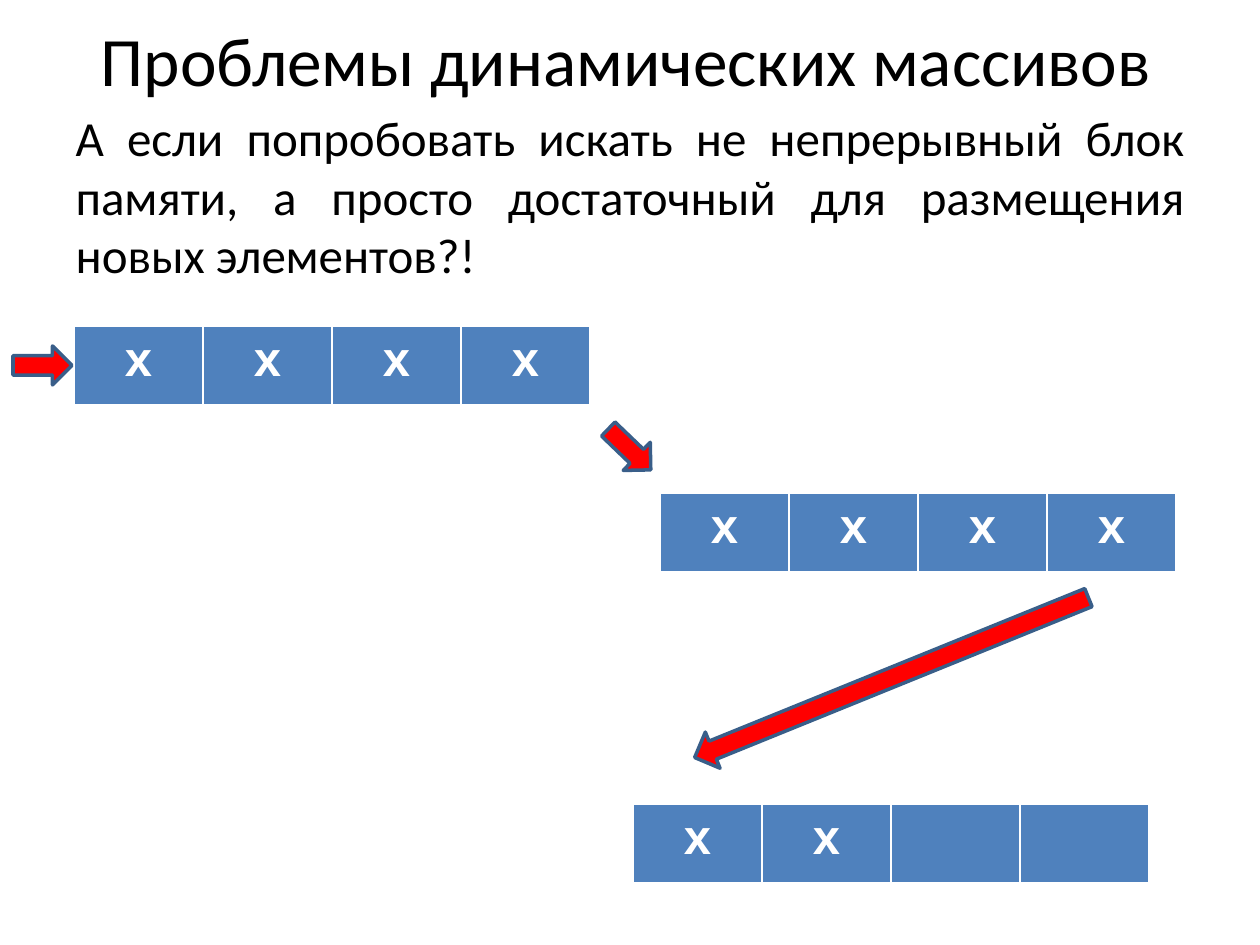
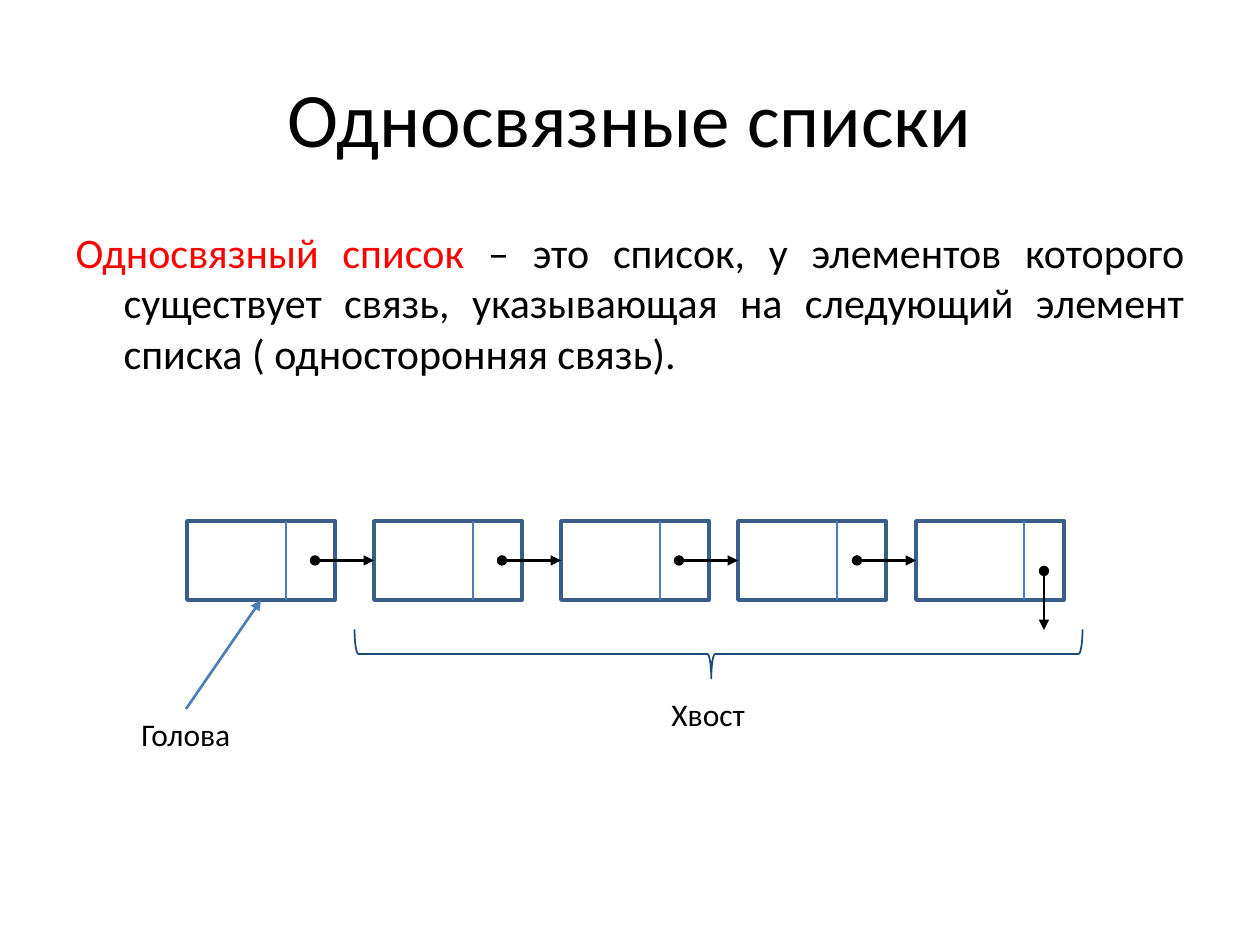
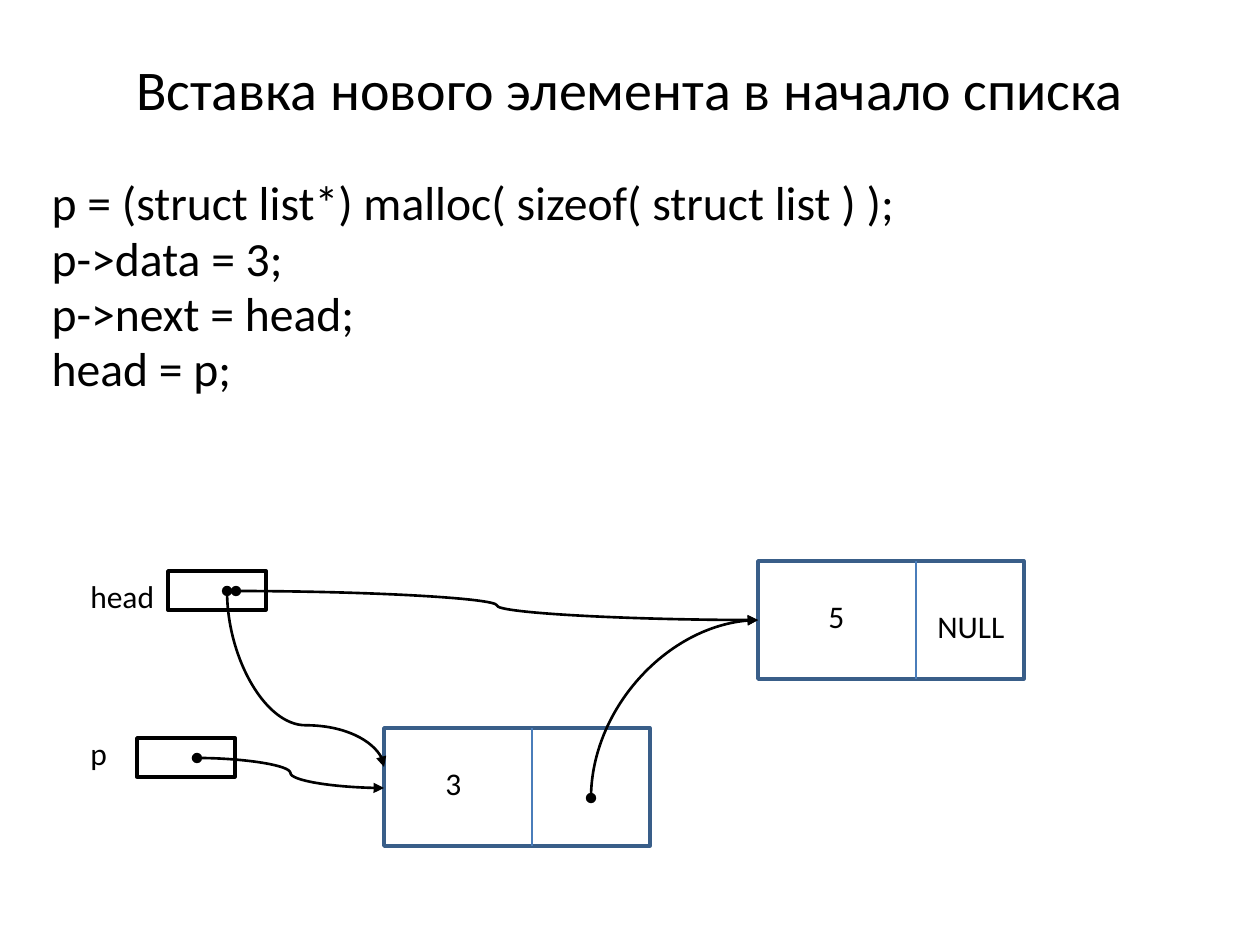
from dataclasses import dataclass

from lxml.etree import SubElement
from pptx import Presentation
from pptx.dml.color import RGBColor
from pptx.enum.shapes import MSO_CONNECTOR, MSO_SHAPE
from pptx.enum.text import MSO_ANCHOR, MSO_AUTO_SIZE, PP_ALIGN
from pptx.oxml.ns import qn
from pptx.util import Pt

EMU_PER_PX = 914400 / 126


@dataclass(frozen=True)
class Theme:
    black: str = "000000"
    white: str = "FFFFFF"
    red: str = "FF0000"
    cell: str = "4F81BD"
    outline: str = "395E89"
    divider: str = "4A7DBA"
    brace: str = "1F497D"
    text_font: str = "Calibri"
    cell_font: str = "Arial"
    cell_size: float = 28
    label_size: float = 18
    outline_width: float = 2
    link_width: float = 1.5
    divider_width: float = 0.75
    brace_width: float = 1


THEME = Theme()

# Each body paragraph is a list of (text, colour) runs.
ARRAY_PROBLEMS = {
    "title": "Проблемы динамических массивов",
    "title_box": (59, 5, 1134, 107),
    "title_size": 39.6,
    "body": [[("А если попробовать искать не непрерывный блок памяти, а просто "
               "достаточный для размещения новых элементов?!", THEME.black)]],
    "body_box": (63, 101, 1134, 742),
    "body_size": 28,
    "align": PP_ALIGN.JUSTIFY,
}
MEMORY_BLOCKS = [
    (74, 326, ["х", "х", "х", "х"]),
    (660, 493, ["х", "х", "х", "х"]),
    (633, 804, ["х", "х", "", ""]),
]
CELL_WIDTH, CELL_HEIGHT = 129, 79
BLOCK_ARROWS = [
    ((13, 346, 59, 39), 0),
    ((600, 430, 59, 39), 43.8),
    ((679, 658, 425, 39), 157.9),
]

LINKED_LIST = {
    "title": "Односвязные списки",
    "title_box": (63, 38, 1134, 158),
    "title_size": 44,
    "body": [[("Односвязный список ", THEME.red),
              ("– это список, у элементов которого существует связь, указывающая на "
               "следующий элемент списка ( односторонняя связь).", THEME.black)]],
    "body_box": (63, 220, 1134, 193),
    "body_size": 24,
    "align": PP_ALIGN.JUSTIFY,
    "indent": 48,
}
NODE_LEFTS = [187, 374, 561, 738, 916]
NODE_TOP, NODE_WIDTH, NODE_HEIGHT = 521, 148, 79
DATA_WIDTH, LAST_DATA_WIDTH = 99, 108
LINK_LENGTH = 59
HEAD_ARROW_START = (186, 709)
TAIL_BRACE = (694, 290, 49, 728)
LIST_LABELS = [("Голова", (129, 709, 116, 50)), ("Хвост", (659, 689, 100, 50))]

INSERT_FIRST = {
    "title": "Вставка нового элемента в начало списка",
    "title_box": (63, 38, 1134, 100),
    "title_size": 32,
    "body": [[(line, THEME.black)] for line in (
        "p = (struct list*) malloc( sizeof( struct list ) );",
        "p->data = 3;",
        "p->next = head;",
        "head = p;",
    )],
    "body_box": (39, 178, 1134, 246),
    "body_size": 27.2,
    "align": PP_ALIGN.LEFT,
    "indent": 48,
    "line_spacing": 0.8,
    "space_before": 5.4,
}
POINTER_BOXES = [(168, 571, 98, 39), (137, 738, 98, 39)]
STRUCT_NODES = [((758, 561, 266, 118), 158), ((384, 728, 266, 118), 148)]
STRUCT_LABELS = [
    ("head", (78, 571, 91, 50)),
    ("p", (78, 728, 43, 50)),
    ("5", (816, 591, 42, 50)),
    ("NULL", (925, 601, 93, 50)),
    ("3", (433, 758, 42, 50)),
]
LEVEL_CURVES = [((197, 758), (384, 788)), ((236, 591), (758, 620))]
UPRIGHT_CURVES = [
    ((227, 591), (384, 767), "curvedConnector3", 0.763),
    ((591, 798), (758, 620), "curvedConnector2", None),
]


def emu(*lengths):
    return [round(length * EMU_PER_PX) for length in lengths]


def rgb(colour):
    return RGBColor.from_string(colour)


def set_font(paragraph, size, colour=THEME.black, name=THEME.text_font, bold=False):
    font = paragraph.font
    font.size, font.name, font.bold = Pt(size), name, bold
    font.color.rgb = rgb(colour)


def place(shape, box):
    shape.left, shape.top, shape.width, shape.height = emu(*box)


def add_text_slide(presentation, content):
    slide = presentation.slides.add_slide(presentation.slide_layouts[1])
    title, body = slide.placeholders
    place(title, content["title_box"])
    title.text_frame.text = content["title"]
    title.text_frame.vertical_anchor = MSO_ANCHOR.MIDDLE
    heading = title.text_frame.paragraphs[0]
    heading.alignment = PP_ALIGN.CENTER
    set_font(heading, content["title_size"])

    place(body, content["body_box"])
    frame = body.text_frame
    for index, runs in enumerate(content["body"]):
        paragraph = frame.add_paragraph() if index else frame.paragraphs[0]
        paragraph.alignment = content["align"]
        paragraph.line_spacing = content.get("line_spacing", 1.0)
        paragraph.space_before = Pt(content.get("space_before", 0) if index else 0)
        properties = paragraph._p.get_or_add_pPr()
        indent, = emu(content.get("indent", 0))
        properties.set("marL", str(indent))
        properties.set("indent", str(-indent))
        SubElement(properties, qn("a:buNone"))
        set_font(paragraph, content["body_size"])
        for text, colour in runs:
            run = paragraph.add_run()
            run.text = text
            if colour != THEME.black:
                run.font.color.rgb = rgb(colour)
    for shape in (title, body):
        shape.text_frame.auto_size = MSO_AUTO_SIZE.NONE
    return slide


def add_outline(slide, kind, box, colour=THEME.outline, width=THEME.outline_width, fill=None):
    shape = slide.shapes.add_shape(kind, *emu(*box))
    shape.shadow.inherit = False
    if fill:
        shape.fill.solid()
        shape.fill.fore_color.rgb = rgb(fill)
    else:
        shape.fill.background()
    shape.line.color.rgb = rgb(colour)
    shape.line.width = Pt(width)
    return shape


def add_line(slide, start, end, colour=THEME.black, width=THEME.link_width,
             head="oval", tail="triangle", kind=MSO_CONNECTOR.STRAIGHT):
    connector = slide.shapes.add_connector(kind, *emu(*start, *end))
    connector.line.color.rgb = rgb(colour)
    connector.line.width = Pt(width)
    properties = connector._element.spPr
    line = properties.find(qn("a:ln"))
    for tag, arrowhead in (("a:headEnd", head), ("a:tailEnd", tail)):
        if arrowhead:
            SubElement(line, qn(tag), type=arrowhead)
    SubElement(properties, qn("a:effectLst"))
    return connector


def add_upright_curve(slide, start, end, preset, bend):
    """Draw a curve that leaves its start vertically: a level one turned by 270 degrees."""
    (x1, y1), (x2, y2) = start, end
    middle_x, middle_y = (x1 + x2) / 2, (y1 + y2) / 2
    half_x, half_y = (x2 - x1) / 2, (y2 - y1) / 2
    connector = add_line(slide, (middle_x + half_y, middle_y - half_x),
                         (middle_x - half_y, middle_y + half_x), kind=MSO_CONNECTOR.CURVE)
    properties = connector._element.spPr
    properties.find(qn("a:xfrm")).set("rot", str(270 * 60000))
    geometry = properties.find(qn("a:prstGeom"))
    geometry.set("prst", preset)
    if bend:
        SubElement(geometry.find(qn("a:avLst")), qn("a:gd"),
                   name="adj1", fmla=f"val {round(bend * 100000)}")


def add_node(slide, box, data_width):
    """Draw a list element: a data field and a link field with a divider between."""
    left, top, width, height = box
    node = add_outline(slide, MSO_SHAPE.RECTANGLE, box)
    add_line(slide, (left + data_width, top), (left + data_width, top + height),
             THEME.divider, THEME.divider_width, head=None, tail=None)
    return node


def add_labels(slide, labels):
    for text, box in labels:
        frame = slide.shapes.add_textbox(*emu(*box)).text_frame
        frame.text = text
        frame.word_wrap = False
        set_font(frame.paragraphs[0], THEME.label_size)


def add_memory_block(slide, left, top, values):
    table = slide.shapes.add_table(
        1, len(values), *emu(left, top, CELL_WIDTH * len(values), CELL_HEIGHT)).table
    for cell, value in zip(table.rows[0].cells, values):
        cell.fill.solid()
        cell.fill.fore_color.rgb = rgb(THEME.cell)
        cell.text = value
        paragraph = cell.text_frame.paragraphs[0]
        paragraph.alignment = PP_ALIGN.CENTER
        set_font(paragraph, THEME.cell_size, THEME.white, THEME.cell_font, bold=True)


def build_array_problems(presentation):
    slide = add_text_slide(presentation, ARRAY_PROBLEMS)
    for block in MEMORY_BLOCKS:
        add_memory_block(slide, *block)
    for box, angle in BLOCK_ARROWS:
        add_outline(slide, MSO_SHAPE.RIGHT_ARROW, box, fill=THEME.red).rotation = angle


def build_linked_list(presentation):
    slide = add_text_slide(presentation, LINKED_LIST)
    nodes = [add_node(slide, (left, NODE_TOP, NODE_WIDTH, NODE_HEIGHT),
                      LAST_DATA_WIDTH if left == NODE_LEFTS[-1] else DATA_WIDTH)
             for left in NODE_LEFTS]
    link_y = NODE_TOP + NODE_HEIGHT / 2
    for left, node in zip(NODE_LEFTS[1:], nodes[1:]):
        add_line(slide, (left - LINK_LENGTH, link_y), (left, link_y)).end_connect(node, 1)
    last_x = NODE_LEFTS[-1] + (LAST_DATA_WIDTH + NODE_WIDTH) / 2
    last_y = NODE_TOP + 50
    add_line(slide, (last_x, last_y), (last_x, last_y + LINK_LENGTH))

    head_end = (NODE_LEFTS[0] + NODE_WIDTH / 2, NODE_TOP + NODE_HEIGHT)
    add_line(slide, HEAD_ARROW_START, head_end, THEME.divider,
             head=None).end_connect(nodes[0], 2)
    brace = add_outline(slide, MSO_SHAPE.RIGHT_BRACE, TAIL_BRACE, THEME.brace, THEME.brace_width)
    brace.rotation = 90
    brace.adjustments[0], brace.adjustments[1] = 0.08, 0.51
    add_labels(slide, LIST_LABELS)


def build_insert_first(presentation):
    slide = add_text_slide(presentation, INSERT_FIRST)
    for box in POINTER_BOXES:
        add_outline(slide, MSO_SHAPE.RECTANGLE, box, THEME.black)
    for box, data_width in STRUCT_NODES:
        add_node(slide, box, data_width)
    add_labels(slide, STRUCT_LABELS)
    for start, end in LEVEL_CURVES:
        add_line(slide, start, end, kind=MSO_CONNECTOR.CURVE)
    for curve in UPRIGHT_CURVES:
        add_upright_curve(slide, *curve)


def main():
    presentation = Presentation()
    presentation.slide_width, presentation.slide_height = emu(1260, 945)
    build_array_problems(presentation)
    build_linked_list(presentation)
    build_insert_first(presentation)
    presentation.save("out.pptx")


if __name__ == "__main__":
    main()
